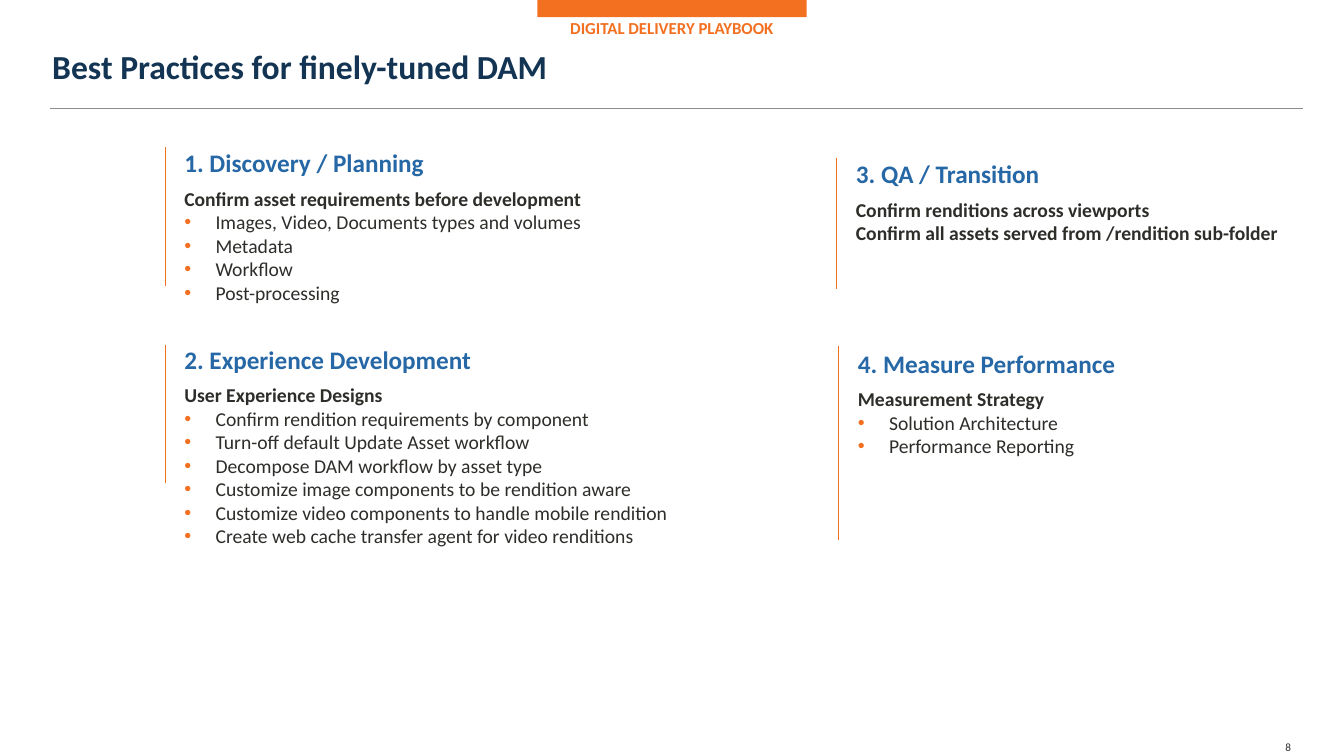
from lxml.etree import SubElement
from pptx import Presentation
from pptx.dml.color import RGBColor
from pptx.enum.shapes import MSO_CONNECTOR, MSO_SHAPE
from pptx.enum.text import PP_ALIGN
from pptx.oxml.ns import qn
from pptx.util import Pt

EMU_PER_PX = 9144
ORANGE = RGBColor(0xF3, 0x70, 0x21)
NAVY = RGBColor(0x13, 0x34, 0x53)
BLUE = RGBColor(0x26, 0x67, 0xA6)
CHARCOAL = RGBColor(0x2D, 0x2D, 0x2A)
GRAY = RGBColor(0x8A, 0x8C, 0x8E)

SECTIONS = [
    (164, 146, 138, 1, 660, "1. Discovery / Planning",
     ["Confirm asset requirements before development"],
     ["Images, Video, Documents types and volumes", "Metadata", "Workflow",
      "Post-processing"]),
    (164, 342, 137, 0, 660, "2. Experience Development",
     ["User Experience Designs"],
     ["Confirm rendition requirements by component",
      "Turn-off default Update Asset workflow",
      "Decompose DAM workflow by asset type",
      "Customize image components to be rendition aware",
      "Customize video components to handle mobile rendition",
      "Create web cache transfer agent for video renditions"]),
    (830, 157, 130, 1, 467, "3. QA / Transition",
     ["Confirm renditions across viewports",
      "Confirm all assets served from /rendition sub-folder"],
     []),
    (832, 343, 193, 3, 475, "4. Measure Performance",
     ["Measurement Strategy"],
     ["Solution Architecture", "Performance Reporting"]),
]


def px(length):
    return length * EMU_PER_PX


class SlideBuilder:
    font_name = "Calibri"

    def __init__(self, slide):
        self.slide = slide

    def bar(self, left, top, width, height, color):
        shape = self.slide.shapes.add_shape(
            MSO_SHAPE.RECTANGLE, px(left), px(top), px(width), px(height))
        shape.shadow.inherit = False
        shape.fill.solid()
        shape.fill.fore_color.rgb = color
        shape.line.fill.background()

    def line(self, x1, y1, x2, y2, color):
        connector = self.slide.shapes.add_connector(
            MSO_CONNECTOR.STRAIGHT, px(x1), px(y1), px(x2), px(y2))
        connector.line.color.rgb = color
        connector.line.width = Pt(0.75)
        SubElement(connector._element.spPr, qn("a:effectLst"))

    def text_box(self, left, top, width, height, inset_x=10, inset_y=5):
        shape = self.slide.shapes.add_textbox(
            px(left), px(top), px(width), px(height))
        text_frame = shape.text_frame
        text_frame.word_wrap = True
        text_frame.margin_left = text_frame.margin_right = px(inset_x)
        text_frame.margin_top = text_frame.margin_bottom = px(inset_y)
        return text_frame

    def format(self, paragraph, size, color, bold):
        for run in paragraph.runs:
            run.font.name = self.font_name
            run.font.size = Pt(size)
            run.font.color.rgb = color
            run.font.bold = bold

    def label(self, box, text, size, color, bold=True, spacing=1.0,
              align=PP_ALIGN.LEFT, **insets):
        text_frame = self.text_box(*box, **insets)
        text_frame.text = text
        paragraph = text_frame.paragraphs[0]
        paragraph.line_spacing = spacing
        paragraph.alignment = align
        self.format(paragraph, size, color, bold)

    def bullet(self, paragraph):
        properties = paragraph._p.get_or_add_pPr()
        properties.set("marL", str(px(31)))
        properties.set("indent", str(px(-31)))
        bullet_color = SubElement(properties, qn("a:buClr"))
        SubElement(bullet_color, qn("a:srgbClr"), val=str(ORANGE))
        SubElement(properties, qn("a:buFont"), typeface="Arial")
        SubElement(properties, qn("a:buChar"), char="•")

    def body(self, box, statements, bullets):
        text_frame = self.text_box(*box)
        text_frame.text = "\n".join(statements + bullets)
        for index, paragraph in enumerate(text_frame.paragraphs):
            is_statement = index < len(statements)
            if not is_statement:
                self.bullet(paragraph)
            self.format(paragraph, 14, CHARCOAL, is_statement)

    def section(self, left, top, rule_height, heading_offset, width,
                heading, statements, bullets):
        self.line(left, top, left, top + rule_height, ORANGE)
        text_left, heading_top = left + 9, top + heading_offset
        self.label((text_left, heading_top, width, 35), heading, 18, BLUE,
                   spacing=0.8)
        body_height = 10 + round(23.6 * len(statements + bullets))
        self.body((text_left, heading_top + 33, width, body_height),
                  statements, bullets)


def main():
    presentation = Presentation()
    presentation.slide_width = px(1333)
    presentation.slide_height = px(750)
    slide = presentation.slides.add_slide(presentation.slide_layouts[6])
    builder = SlideBuilder(slide)
    builder.label((1275, 734, 57, 15), "8", 8, CHARCOAL, bold=False,
                  inset_x=0, inset_y=0)
    builder.bar(533, 0, 267, 17, ORANGE)
    builder.label((33, 9, 1267, 33), "DIGITAL DELIVERY PLAYBOOK", 12, ORANGE,
                  spacing=1.2, align=PP_ALIGN.CENTER)
    builder.label((42, 50, 1250, 42), "Best Practices for finely-tuned DAM",
                  24, NAVY, spacing=0.9, inset_y=0)
    builder.line(50, 108, 1292, 108, GRAY)
    for section in SECTIONS:
        builder.section(*section)
    presentation.save("out.pptx")


if __name__ == "__main__":
    main()
